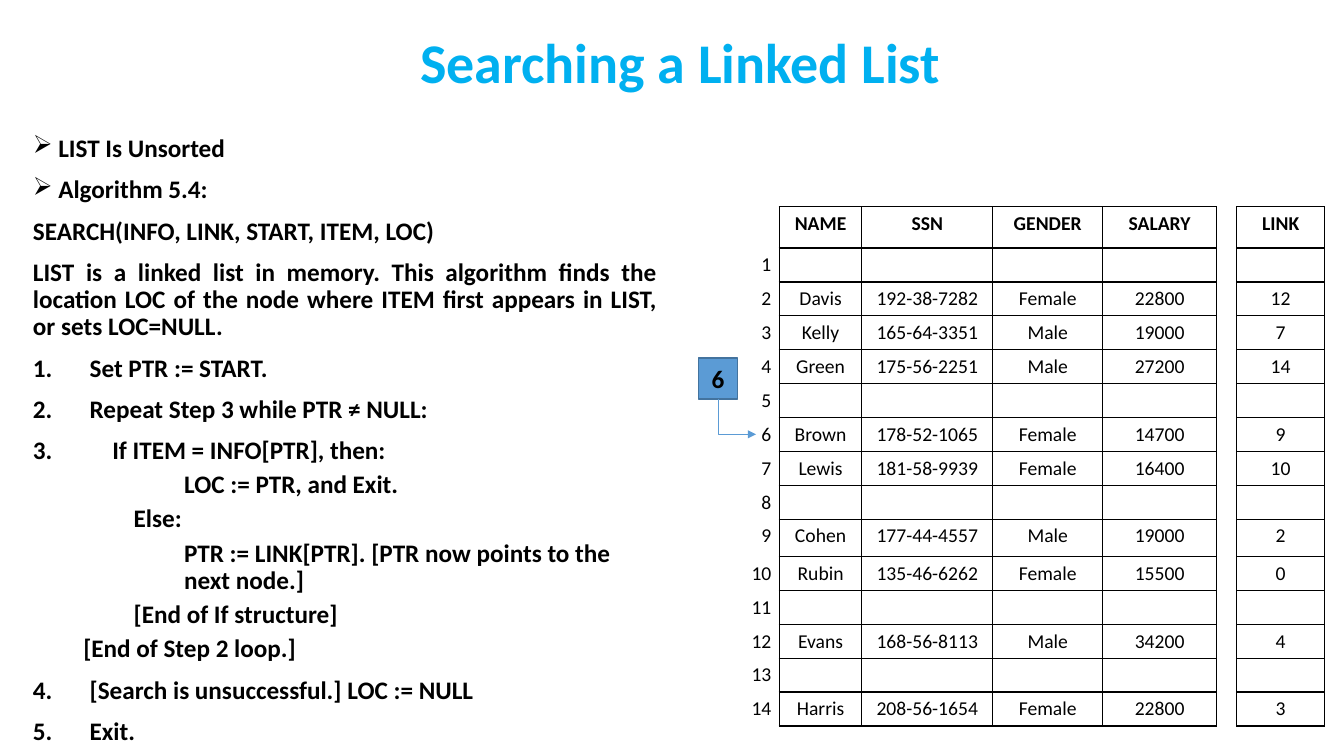
from dataclasses import dataclass

import lxml.etree
import pptx
import pptx.dml.color
import pptx.enum.shapes
import pptx.enum.text
import pptx.oxml
import pptx.oxml.ns
import pptx.util

Cm = pptx.util.Cm
Pt = pptx.util.Pt
qn = pptx.oxml.ns.qn
ALIGN = pptx.enum.text.PP_ALIGN
MIDDLE = pptx.enum.text.MSO_ANCHOR.MIDDLE

COLORS = {"title": "00B0F0", "text": "000000", "pointer": "5B9BD5", "pointer_edge": "43739E"}
BORDER_PT = 1


@dataclass
class Step:
    text: str
    level: int = 0
    left: float = 0        # text indent, cm
    hang: float = 0        # distance from marker to text, cm
    marker: str = ""       # a bullet character, or "number"
    align: ALIGN = ALIGN.LEFT


@dataclass
class Employee:
    name: str = ""
    ssn: str = ""
    gender: str = ""
    salary: str = ""
    link: str = ""


def color(name: str) -> pptx.dml.color.RGBColor:
    return pptx.dml.color.RGBColor.from_string(COLORS[name])


def apply(target: object, values: dict) -> None:
    for key, value in values.items():
        setattr(target, key, value)


def write(paragraph, text: str, size: float, bold: bool, align: ALIGN, tint: str = "text") -> None:
    paragraph.text = text
    paragraph.alignment = align
    for run in paragraph.runs:
        apply(run.font, {"name": "Calibri", "size": Pt(size), "bold": bold})
        run.font.color.rgb = color(tint)


def write_step(paragraph, step: Step) -> None:
    write(paragraph, step.text, 18, True, step.align)
    apply(paragraph, {"level": step.level, "line_spacing": 0.9,
                      "space_before": Pt(5 if step.level else 10)})
    properties = paragraph._p.get_or_add_pPr()
    properties.set("marL", str(Cm(step.left)))
    properties.set("indent", str(-Cm(step.hang)))
    if step.marker == "number":
        lxml.etree.SubElement(properties, qn("a:buAutoNum"), type="arabicPeriod")
    elif step.marker:
        lxml.etree.SubElement(properties, qn("a:buChar"), char=step.marker)
    else:
        lxml.etree.SubElement(properties, qn("a:buNone"))


def draw_cell(cell, text: str, bold: bool, align: ALIGN, sides: str) -> None:
    apply(cell, {"margin_left": Cm(0.2), "margin_right": Cm(0.2),
                 "margin_top": Cm(0.13), "margin_bottom": Cm(0.13)})
    paragraph = cell.text_frame.paragraphs[0]
    if text:
        write(paragraph, text, 14, bold, align)
    else:
        lxml.etree.SubElement(paragraph._p, qn("a:endParaRPr"), sz="1400")
    properties = cell._tc.get_or_add_tcPr()
    for side in "LRTB":
        edge = lxml.etree.SubElement(properties, qn("a:ln" + side), w=str(Pt(BORDER_PT)))
        if side in sides:
            fill = lxml.etree.SubElement(edge, qn("a:solidFill"))
            lxml.etree.SubElement(fill, qn("a:srgbClr"), val=COLORS["text"])
        else:
            lxml.etree.SubElement(edge, qn("a:noFill"))
    cell.fill.background()


prs = pptx.Presentation()
apply(prs, {"slide_width": Cm(33.87), "slide_height": Cm(19.05)})
slide = prs.slides.add_slide(prs.slide_layouts.get_by_name("Title Only"))

# Title
title = slide.shapes.title
apply(title, {"left": Cm(2.54), "top": Cm(0.51), "width": Cm(29.21), "height": Cm(2.29)})
title.text_frame.vertical_anchor = MIDDLE
heading = title.text_frame.paragraphs[0]
write(heading, "Searching a Linked List", 40, True, ALIGN.CENTER, "title")
heading.line_spacing = 0.9

# Algorithm
BULLET = {"left": 0.64, "hang": 0.64, "marker": "\u27a2"}
NUMBER = {"left": 1.43, "hang": 1.43, "marker": "number"}
NESTED = {"left": 2.0, "hang": 2.0, "marker": "number"}
LOOP, BRANCH, ACTION = ({"level": n, "left": 1.27 * n} for n in (1, 2, 3))
STEPS = [
    Step("LIST Is Unsorted", **BULLET),
    Step("Algorithm 5.4:", **BULLET),
    Step("SEARCH(INFO, LINK, START, ITEM, LOC)"),
    Step("LIST is a linked list in memory. This algorithm finds the location LOC of the node "
         "where ITEM first appears in LIST, or sets LOC=NULL.", align=ALIGN.JUSTIFY),
    Step("Set PTR := START.", **NUMBER),
    Step("Repeat Step 3 while PTR \u2260 NULL:", **NUMBER),
    Step("If ITEM = INFO[PTR], then:", **NESTED),
    Step("LOC := PTR, and Exit.", **ACTION),
    Step("Else:", **BRANCH),
    Step("PTR := LINK[PTR]. [PTR now points to the\vnext node.]", **ACTION),
    Step("[End of If structure]", **BRANCH),
    Step("[End of Step 2 loop.]", **LOOP),
    Step("[Search is unsuccessful.] LOC := NULL", **NUMBER),
    Step("Exit.", **NUMBER),
]
algorithm = slide.shapes.add_textbox(Cm(0.58), Cm(3.3), Cm(16.23), Cm(15.75)).text_frame
algorithm.word_wrap = True
for index, step in enumerate(STEPS):
    write_step(algorithm.add_paragraph() if index else algorithm.paragraphs[0], step)

# Linked list in memory
EMPLOYEES = [
    Employee(),
    Employee("Davis", "192-38-7282", "Female", "22800", "12"),
    Employee("Kelly", "165-64-3351", "Male", "19000", "7"),
    Employee("Green", "175-56-2251", "Male", "27200", "14"),
    Employee(),
    Employee("Brown", "178-52-1065", "Female", "14700", "9"),
    Employee("Lewis", "181-58-9939", "Female", "16400", "10"),
    Employee(),
    Employee("Cohen", "177-44-4557", "Male", "19000", "2"),
    Employee("Rubin", "135-46-6262", "Female", "15500", "0"),
    Employee(),
    Employee("Evans", "168-56-8113", "Male", "34200", "4"),
    Employee(),
    Employee("Harris", "208-56-1654", "Female", "22800", "3"),
]
HEADER = Employee("NAME", "SSN", "GENDER", "SALARY", "LINK")
COLUMN_WIDTHS = [1.07, 2.08, 3.3, 2.77, 2.87, 0.51, 2.21]
ROW_HEIGHTS = {0: 1.04, 9: 0.94}
INDEX_COLUMN, GAP_COLUMN = 0, 5
SIDES = {INDEX_COLUMN: "R", GAP_COLUMN: "LR"}

memory = slide.shapes.add_table(len(EMPLOYEES) + 1, len(COLUMN_WIDTHS), Cm(18.57), Cm(5.21),
                                Cm(sum(COLUMN_WIDTHS)), Cm(13)).table
apply(memory, {"first_row": False, "horz_banding": False})
for column, width in zip(memory.columns, COLUMN_WIDTHS):
    column.width = Cm(width)
for address, node in enumerate([HEADER] + EMPLOYEES):
    memory.rows[address].height = Cm(ROW_HEIGHTS.get(address, 0.85))
    label = str(address) if address else ""
    values = [label, node.name, node.ssn, node.gender, node.salary, "", node.link]
    for position, value in enumerate(values):
        draw_cell(memory.cell(address, position), value, address == 0,
                  ALIGN.RIGHT if position == INDEX_COLUMN else ALIGN.CENTER,
                  SIDES.get(position, "LRTB"))
memory.cell(0, GAP_COLUMN).merge(memory.cell(1, GAP_COLUMN))

# START pointer
start = slide.shapes.add_shape(pptx.enum.shapes.MSO_SHAPE.RECTANGLE,
                               Cm(17.6), Cm(9.02), Cm(0.99), Cm(1.04))
start.shadow.inherit = False
start.fill.solid()
start.fill.fore_color.rgb = color("pointer")
start.line.color.rgb = color("pointer_edge")
start.line.width = Pt(1)
start.text_frame.vertical_anchor = MIDDLE
apply(start.text_frame, {"margin_left": 0, "margin_right": 0})
write(start.text_frame.paragraphs[0], "6", 18, True, ALIGN.CENTER)

# Arrow from START down and right to node 6
link = slide.shapes.add_connector(pptx.enum.shapes.MSO_CONNECTOR.ELBOW,
                                  Cm(19.03), Cm(10.03), Cm(18.14), Cm(10.97))
link.line.color.rgb = color("pointer")
link.line.width = Pt(0.5)
outline = link._element.spPr
outline.find(qn("a:xfrm")).set("rot", str(270 * 60000))
outline.find(qn("a:prstGeom")).set("prst", "bentConnector2")
lxml.etree.SubElement(outline.find(qn("a:ln")), qn("a:tailEnd"), type="triangle")
lxml.etree.SubElement(outline, qn("a:effectLst"))

prs.save("out.pptx")
